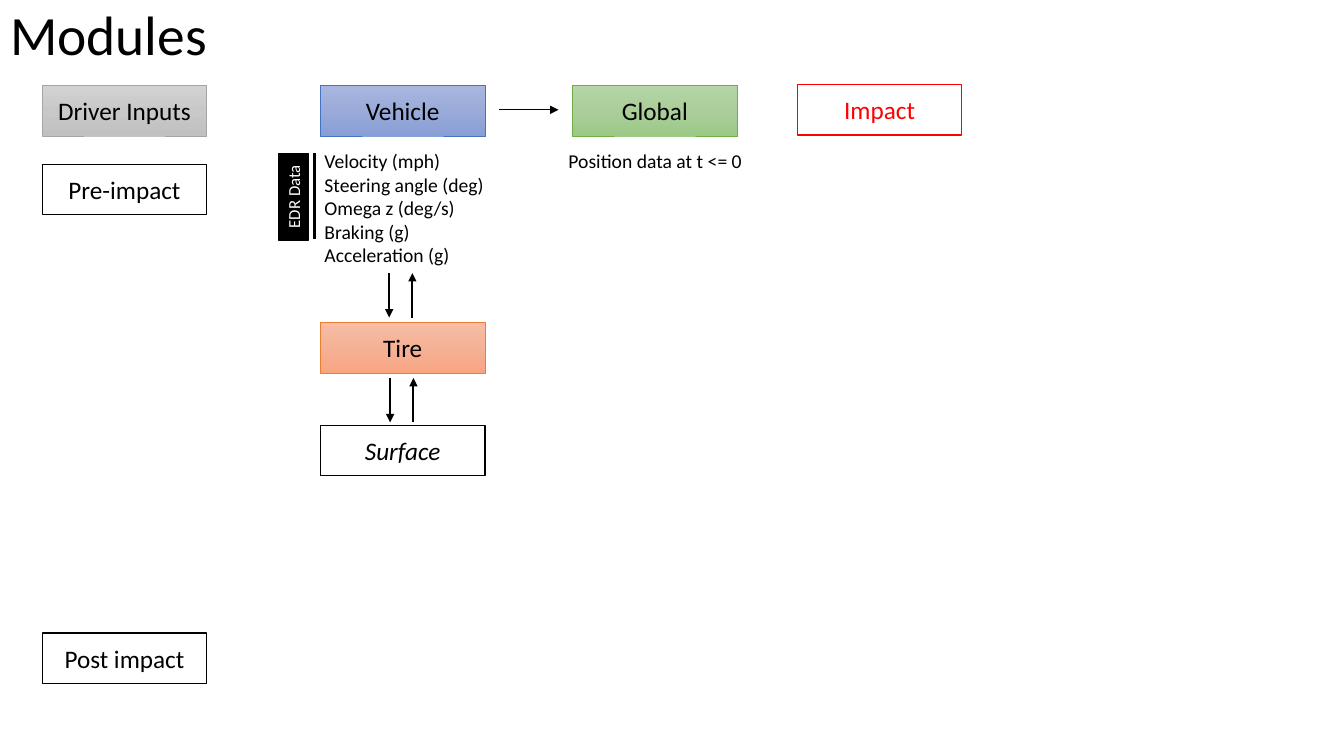
from copy import deepcopy

from lxml import etree
from pptx import Presentation
from pptx.dml.color import RGBColor
from pptx.enum.shapes import MSO_CONNECTOR, MSO_SHAPE
from pptx.enum.text import MSO_ANCHOR, MSO_AUTO_SIZE, PP_ALIGN
from pptx.oxml.ns import qn
from pptx.util import Inches, Pt

RECT = MSO_SHAPE.RECTANGLE
LINE = MSO_CONNECTOR.STRAIGHT
LEFT, CENTER = PP_ALIGN.LEFT, PP_ALIGN.CENTER
MIDDLE = MSO_ANCHOR.MIDDLE
NO_FIT, GROW = MSO_AUTO_SIZE.NONE, MSO_AUTO_SIZE.SHAPE_TO_FIT_TEXT
FONT = "Calibri"
BLACK, WHITE, RED = "000000", "FFFFFF", "FF0000"
BOX_W, BOX_H = 1.63, 0.5
TOP = 0.85
NOTE_W, NOTE_DY = 1.96, 0.58
GRAY = ("D2D2D2", "C8C8C8", "C0C0C0")
BLUE = ("A8B7DF", "9AABD9", "889ED7")
CORAL = ("F7BDA5", "F5B196", "F8A582")
GREEN = ("B5D5A7", "AACE9A", "9CC987")


def paint(color):
    """Turn a hex string into a colour."""
    return RGBColor.from_string(color)


def style(frame, size, color=BLACK, align=LEFT, italic=False):
    """Format all paragraphs and runs of a text frame."""
    frame.word_wrap = True
    for para in frame.paragraphs:
        para.alignment = align
        for run in para.runs:
            font = run.font
            font.name, font.size = FONT, Pt(size)
            font.color.rgb = paint(color)
            if italic:
                font.italic = True


def blend(shape, colors):
    """Fill a shape with a three-stop gradient running downward."""
    fill = shape.fill
    fill.gradient()
    fill.gradient_angle = 270
    stops = shape._element.spPr.find(qn("a:gradFill")).find(qn("a:gsLst"))
    stops.insert(1, deepcopy(stops[0]))
    for stop, pos, color in zip(fill.gradient_stops, (0, 0.5, 1), colors):
        stop.position = pos
        stop.color.rgb = paint(color)


def box(slide, x, y, text, fill=WHITE, edge=BLACK, color=BLACK,
        w=BOX_W, h=BOX_H, size=18, italic=False):
    """Draw a labelled box, flat or with a gradient."""
    shape = slide.shapes.add_shape(RECT, Inches(x), Inches(y), Inches(w), Inches(h))
    shape.shadow.inherit = False
    if isinstance(fill, tuple):
        blend(shape, fill)
        shape.line.width = Pt(0.5)
    else:
        shape.fill.solid()
        shape.fill.fore_color.rgb = paint(fill)
        shape.line.width = Pt(1)
    shape.line.color.rgb = paint(edge)
    frame = shape.text_frame
    frame.text = text
    frame.vertical_anchor = MIDDLE
    style(frame, size, color, CENTER, italic)
    return shape


def note(slide, x, y, text, h):
    """Place plain text below a box."""
    frame = slide.shapes.add_textbox(
        Inches(x), Inches(y), Inches(NOTE_W), Inches(h)).text_frame
    frame.text = text
    frame.auto_size = GROW
    style(frame, 14)


def link(slide, x1, y1, x2, y2, width=1.5, arrow=True):
    """Draw a line, with an arrowhead at its end if asked."""
    line = slide.shapes.add_connector(
        LINE, Inches(x1), Inches(y1), Inches(x2), Inches(y2))
    line.line.color.rgb = paint(BLACK)
    line.line.width = Pt(width)
    if arrow:
        etree.SubElement(line.line._get_or_add_ln(), qn("a:tailEnd"), type="triangle")
    etree.SubElement(line._element.spPr, qn("a:effectLst"))


def swap(slide, x, y):
    """Draw a pair of arrows, one down and one up."""
    link(slide, x, y, x, y + 0.44)
    link(slide, x + 0.23, y + 0.44, x + 0.23, y)


def head(slide, text):
    """Set the slide title in the top left corner."""
    title = slide.shapes.title
    title.left, title.top = 0, 0
    title.width, title.height = Inches(11.5), Inches(0.74)
    frame = title.text_frame
    frame.text = text
    frame.auto_size = NO_FIT
    frame.vertical_anchor = MIDDLE
    frame.paragraphs[0].line_spacing = 0.9
    style(frame, 39.6)


def inputs(slide, x, y):
    """Draw the column of driver inputs and phases."""
    box(slide, x, y, "Driver Inputs", GRAY, "A5A5A5")
    box(slide, x, y + 0.78, "Pre-impact")
    box(slide, x, y + 5.43, "Post impact")


def vehicle(slide, x, y):
    """Draw the vehicle column with its data, tire and surface."""
    box(slide, x, y, "Vehicle", BLUE, "4472C4")
    box(slide, x, y + 2.35, "Tire", CORAL, "ED7D31")
    box(slide, x, y + 3.37, "Surface", italic=True)
    tag = box(slide, x - 0.7, y + 0.95, "EDR Data", BLACK, BLACK, WHITE, 0.86, 0.3, 12)
    tag.rotation = 270
    data = ("Velocity (mph)", "Steering angle (deg)", "Omega z (deg/s)",
            "Braking (g)", "Acceleration (g)")
    note(slide, x - 0.06, y + NOTE_DY, "\n".join(data), 1.28)
    link(slide, x - 0.06, y + 0.67, x - 0.06, y + 1.52, arrow=False)
    swap(slide, x + 0.68, y + 1.86)
    swap(slide, x + 0.69, y + 2.9)


def world(slide, x, y):
    """Draw the global module and the arrow leading to it."""
    box(slide, x, y, "Global", GREEN, "70AD47")
    note(slide, x - 0.14, y + NOTE_DY, "Position data at t <= 0", 0.34)
    link(slide, x - 0.73, y + 0.24, x - 0.14, y + 0.24, 0.5)


def main():
    """Build the slide and save it."""
    deck = Presentation()
    deck.slide_width, deck.slide_height = Inches(13.33), Inches(7.5)
    slide = deck.slides.add_slide(deck.slide_layouts[5])
    head(slide, "Modules")
    inputs(slide, 0.42, TOP)
    vehicle(slide, 3.18, TOP)
    world(slide, 5.68, TOP)
    box(slide, 7.91, TOP - 0.01, "Impact", edge=RED, color=RED)
    deck.save("out.pptx")


if __name__ == "__main__":
    main()
